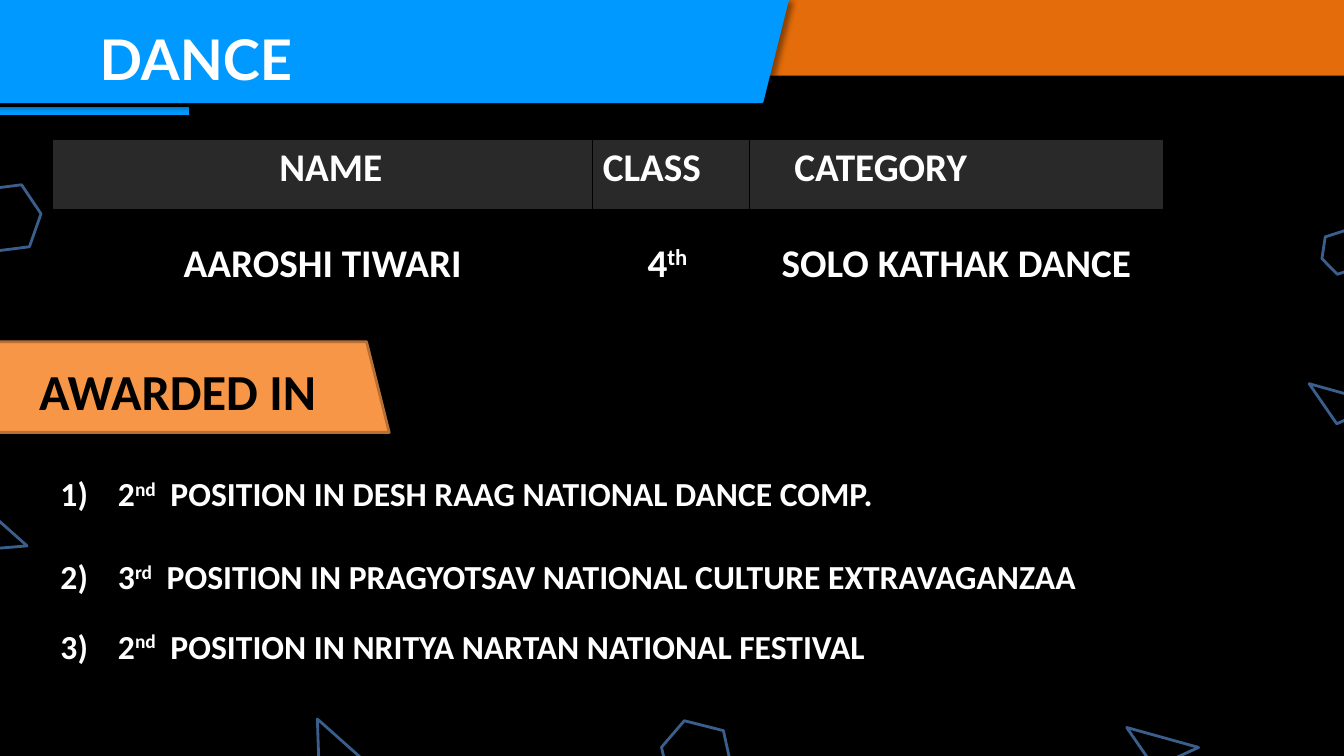
import dataclasses
import lxml.etree
import pptx
import pptx.dml.color
import pptx.enum.shapes
import pptx.enum.text
import pptx.oxml.ns
import pptx.util

Kind = pptx.enum.shapes.MSO_SHAPE
Align = pptx.enum.text.PP_ALIGN
Anchor = pptx.enum.text.MSO_ANCHOR


@dataclasses.dataclass
class Theme:
    black: str = "000000"
    white: str = "FFFFFF"
    gray: str = "292929"
    blue: str = "0099FF"
    navy: str = "3A5F8C"
    rust: str = "E46C0A"
    peach: str = "F79646"
    brown: str = "B76F34"
    body: str = "Calibri"
    head: str = "Lato"
    title: int = 40
    label: int = 36
    cell: int = 28
    item: int = 24


class Deck:
    """Draws on one slide, with lengths in columns and rows of a one-inch grid."""

    def __init__(self, theme, cols, rows):
        self.theme = theme
        self.file = pptx.Presentation()
        self.file.slide_width = self.unit(cols)
        self.file.slide_height = self.unit(rows)
        self.slide = self.file.slides.add_slide(self.file.slide_layouts[6])
        self.paint(self.slide.background.fill, theme.black)

    def unit(self, count):
        return pptx.util.Inches(count)

    def units(self, box):
        return [self.unit(part) for part in box]

    def tint(self, code):
        return pptx.dml.color.RGBColor.from_string(code)

    def node(self, root, tag, **attrs):
        return lxml.etree.SubElement(root, pptx.oxml.ns.qn(tag), attrs)

    def paint(self, fill, code):
        if code:
            fill.solid()
            fill.fore_color.rgb = self.tint(code)
        else:
            fill.background()

    def shade(self, props):
        glow = self.node(props, "a:effectLst")
        cast = self.node(glow, "a:outerShdw", blurRad="50800", dist="38100",
                         dir="2700000", algn="tl", rotWithShape="0")
        tone = self.node(cast, "a:srgbClr", val=self.theme.black)
        self.node(tone, "a:alpha", val="40000")

    def shape(self, kind, box, fill=None, line=None, turn=0, flip=False, shade=False):
        item = self.slide.shapes.add_shape(kind, *self.units(box))
        item.rotation = turn
        self.paint(item.fill, fill)
        self.paint(item.line.fill, line)
        if line:
            item.line.width = pptx.util.Pt(2)
        props = item.element.spPr
        if flip:
            props.xfrm.set("flipV", "1")
        if shade:
            self.shade(props)
        else:
            item.shadow.inherit = False

    def line(self, left, right, row, code, width):
        straight = pptx.enum.shapes.MSO_CONNECTOR.STRAIGHT
        item = self.slide.shapes.add_connector(straight, *self.units((left, row, right, row)))
        item.line.color.rgb = self.tint(code)
        item.line.width = pptx.util.Pt(width)
        self.shade(item.element.spPr)

    def run(self, para, text, size, code, face, lift=False, gap=0):
        part = para.add_run()
        part.text = text
        font = part.font
        font.size = pptx.util.Pt(size)
        font.name = face
        font.bold = True
        font.color.rgb = self.tint(code)
        props = part._r.get_or_add_rPr()
        if lift:
            props.set("baseline", "30000")
        if gap:
            props.set("spc", str(gap * 100))

    def text(self, box, words, size, code, face):
        frame = self.slide.shapes.add_textbox(*self.units(box)).text_frame
        frame.word_wrap = True
        self.run(frame.paragraphs[0], words, size, code, face)

    def table(self, left, top, cols, rows, edge):
        box = self.units((left, top, sum(cols), sum(rows)))
        grid = self.slide.shapes.add_table(len(rows), len(cols), *box).table
        grid.first_row = grid.horz_banding = False
        for col, width in zip(grid.columns, cols):
            col.width = self.unit(width)
        for row, height in zip(grid.rows, rows):
            row.height = self.unit(height)
        for cell in grid.iter_cells():
            props = cell._tc.get_or_add_tcPr()
            for side in "LRTB":
                rule = self.node(props, "a:ln" + side, w=str(pptx.util.Pt(edge)))
                fill = self.node(rule, "a:solidFill")
                self.node(fill, "a:srgbClr", val=self.theme.black)
        return grid

    def cell(self, cell, parts, size, anchor, pad, fill=None, align=None, start=0):
        cell.margin_left, cell.margin_top, cell.margin_right, cell.margin_bottom = self.units(pad)
        cell.vertical_anchor = anchor
        self.paint(cell.fill, fill)
        para = cell.text_frame.paragraphs[0]
        para.alignment = align
        if start:
            props = para._p.get_or_add_pPr()
            hang = self.unit(0.57)
            props.set("marL", str(hang))
            props.set("indent", str(-hang))
            self.node(props, "a:buFont", typeface="+mj-lt")
            self.node(props, "a:buAutoNum", type="arabicParenR", startAt=str(start))
        for words, style in parts:
            self.run(para, words, size, self.theme.white, self.theme.body, **style)


def main():
    theme = Theme()
    deck = Deck(theme, 13.33, 7.5)
    up = {"lift": True}

    awards = [
        ("2", "nd", "POSITION IN DESH RAAG NATIONAL DANCE COMP."),
        ("3", "rd", "POSITION IN PRAGYOTSAV NATIONAL CULTURE EXTRAVAGANZAA"),
        ("2", "nd", "POSITION IN NRITYA NARTAN NATIONAL FESTIVAL"),
    ]
    grid = deck.table(0.59, 4.03, [11.08], [1.35, 0.7, 0.68], 0.5)
    for place, (rank, tail, event) in enumerate(awards):
        parts = [(rank, {}), (tail, up), (" ", {"gap": 5}), (event, {})]
        drop = 0.01 if place else 0.41
        deck.cell(grid.cell(place, 0), parts, theme.item, Anchor.MIDDLE,
                  (0.01, drop, 0.01, 0), start=place + 1)

    deck.shape(Kind.RECTANGLE, (0, 0, 13.33, 0.75), theme.rust, shade=True)
    deck.line(1.87, -0.63, 1.1, theme.blue, 6)

    heads = [("NAME", 0.26, Align.CENTER), ("CLASS", 0.1, Align.LEFT),
             ("CATEGORY", 0.45, Align.LEFT)]
    entry = [[("AAROSHI TIWARI", {})], [("4", {}), ("th", up)], [("SOLO KATHAK DANCE", {})]]
    grid = deck.table(0.52, 1.38, [5.36, 1.55, 4.11], [0.7, 0.78], 1)
    for col, ((head, inset, align), parts) in enumerate(zip(heads, entry)):
        deck.cell(grid.cell(0, col), [(head, {})], theme.cell, Anchor.TOP,
                  (inset, 0.05, 0.1, 0.05), theme.gray, align)
        deck.cell(grid.cell(1, col), parts, theme.cell, Anchor.BOTTOM,
                  (0.01, 0.01, 0.08 if col == 1 else 0.01, 0), align=Align.CENTER)

    marks = [
        (Kind.ISOSCELES_TRIANGLE, 11.12, 7.31, 0.74, 0.31, 195.5),
        (Kind.HEXAGON, 6.55, 7.19, 0.71, 0.62, 14.2),
        (Kind.HEXAGON, 13.1, 2.3, 0.46, 0.39, 342.2),
        (Kind.ISOSCELES_TRIANGLE, 2.97, 7.29, 0.59, 0.31, 221.7),
        (Kind.ISOSCELES_TRIANGLE, -0.35, 5.18, 0.59, 0.31, 221.7),
        (Kind.HEXAGON, -0.37, 1.86, 0.78, 0.62, 352.8),
        (Kind.ISOSCELES_TRIANGLE, 12.93, 3.9, 0.74, 0.31, 195.5),
    ]
    for kind, *box, turn in marks:
        deck.shape(kind, box, line=theme.navy, turn=turn)

    deck.shape(Kind.TRAPEZOID, (-1.38, 0, 9.19, 1.01), theme.blue, theme.blue,
               flip=True, shade=True)
    deck.text((0.89, 0.19, 7.16, 0.77), "DANCE", theme.title, theme.white, theme.head)
    deck.shape(Kind.TRAPEZOID, (-0.86, 3.39, 4.72, 0.9), theme.peach, theme.brown)
    deck.text((0.29, 3.52, 3.75, 0.71), "AWARDED IN", theme.label, theme.black, theme.body)
    deck.file.save("out.pptx")


if __name__ == "__main__":
    main()
